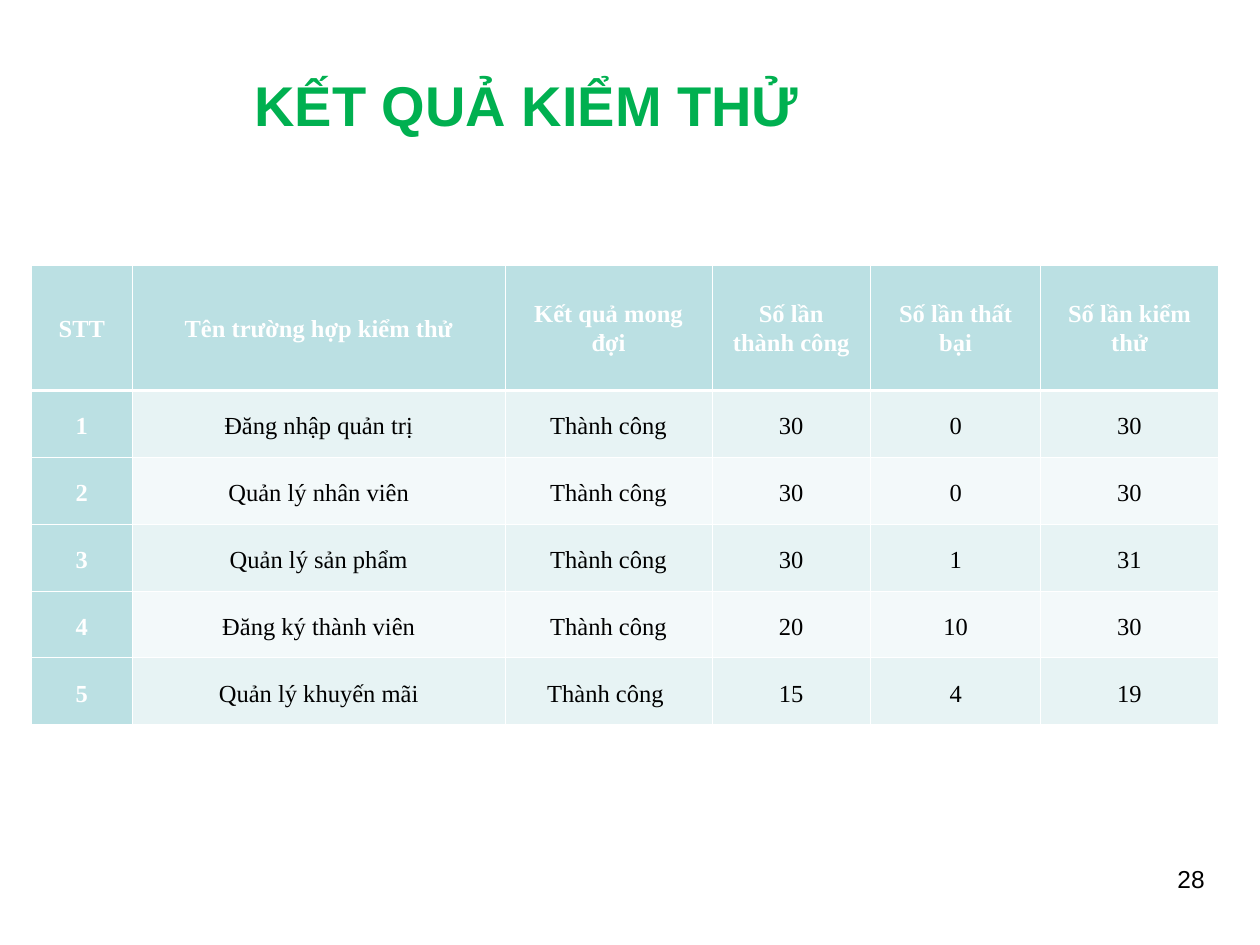
from dataclasses import dataclass

from lxml import etree
from pptx import Presentation
from pptx.dml.color import RGBColor
from pptx.enum.text import MSO_ANCHOR, PP_ALIGN
from pptx.oxml.ns import qn
from pptx.util import Inches, Pt

LEFT, CENTER, RIGHT = PP_ALIGN.LEFT, PP_ALIGN.CENTER, PP_ALIGN.RIGHT
TOP, MIDDLE = MSO_ANCHOR.TOP, MSO_ANCHOR.MIDDLE


@dataclass(frozen=True)
class Theme:
    sans: str = "Arial"
    serif: str = "Times New Roman"
    green: str = "00B050"
    black: str = "000000"
    white: str = "FFFFFF"
    head: str = "BBE0E3"
    bands: tuple = ("E7F3F4", "F3F9FA")
    title: int = 32
    body: int = 14
    thin: float = 0.45
    thick: float = 1.47


HEADS = ["STT", "Tên trường hợp kiểm thử", "Kết quả mong đợi",
         "Số lần\nthành công", "Số lần thất bại", "Số lần kiểm thử"]
TESTS = [
    ("1", "Đăng nhập quản trị", "Thành công", "30", "0", "30"),
    ("2", "Quản lý nhân viên", "Thành công", "30", "0", "30"),
    ("3", "Quản lý sản phẩm", "Thành công", "30", "1", "31"),
    ("4", "Đăng ký thành viên", "Thành công", "20", "10", "30"),
    ("5", "Quản lý khuyến mãi", "Thành công ", "15", "4", "19"),
]
WIDTHS = [0.8, 2.96, 1.64, 1.26, 1.35, 1.41]
HEIGHTS = [0.99] + [0.53] * len(TESTS)


def write(frame, text, *, face, size, color, bold=False, align=LEFT, space=1.0):
    frame.word_wrap = True
    frame.text = text
    for para in frame.paragraphs:
        para.alignment = align
        para.line_spacing = space
        for run in para.runs:
            font = run.font
            font.name, font.size, font.bold = face, Pt(size), bold
            font.color.rgb = RGBColor.from_string(color)


class Page:
    def __init__(self, slide, theme):
        self.slide = slide
        self.theme = theme

    def label(self, text, left, top, width, height, anchor=TOP, **style):
        box = self.slide.shapes.add_textbox(
            Inches(left), Inches(top), Inches(width), Inches(height))
        box.text_frame.vertical_anchor = anchor
        write(box.text_frame, text, face=self.theme.sans, **style)

    def border(self, cell, side, width):
        props = cell._tc.get_or_add_tcPr()
        line = etree.SubElement(props, qn(f"a:ln{side}"), w=str(Pt(width)))
        fill = etree.SubElement(line, qn("a:solidFill"))
        etree.SubElement(fill, qn("a:srgbClr"), val=self.theme.white)

    def cell(self, cell, text, row, col):
        theme = self.theme
        strong = row == 0 or col == 0
        cell.vertical_anchor = MIDDLE
        cell.margin_left = cell.margin_right = Inches(0.08)
        cell.margin_top = cell.margin_bottom = Inches(0.05)
        for side in "LRTB":
            heavy = (row, side) in ((0, "B"), (1, "T"))
            self.border(cell, side, theme.thick if heavy else theme.thin)
        cell.fill.solid()
        shade = theme.head if strong else theme.bands[(row - 1) % 2]
        cell.fill.fore_color.rgb = RGBColor.from_string(shade)
        write(cell.text_frame, text, face=theme.serif, size=theme.body,
              color=theme.white if strong else theme.black, bold=strong,
              align=CENTER, space=1.2 if row else 1.07)

    def table(self, rows, left, top, widths, heights):
        table = self.slide.shapes.add_table(
            len(rows), len(widths), Inches(left), Inches(top),
            Inches(sum(widths)), Inches(sum(heights))).table
        table.first_col = True
        for col, width in zip(table.columns, widths):
            col.width = Inches(width)
        for row, height in zip(table.rows, heights):
            row.height = Inches(height)
        for r, texts in enumerate(rows):
            for c, text in enumerate(texts):
                self.cell(table.cell(r, c), text, r, c)


def main():
    deck = Presentation()
    deck.slide_width, deck.slide_height = Inches(10), Inches(7.5)
    theme = Theme()
    page = Page(deck.slides.add_slide(deck.slide_layouts[6]), theme)
    page.label("KẾT QUẢ KIỂM THỬ", 1.92, 0.31, 7.75, 1.03, anchor=MIDDLE,
               size=theme.title, color=theme.green, bold=True)
    page.label("28", 7.33, 6.81, 2.33, 0.61,
               size=theme.body, color=theme.black, align=RIGHT)
    page.table([HEADS, *TESTS], 0.25, 2.11, WIDTHS, HEIGHTS)
    deck.save("out.pptx")


if __name__ == "__main__":
    main()
